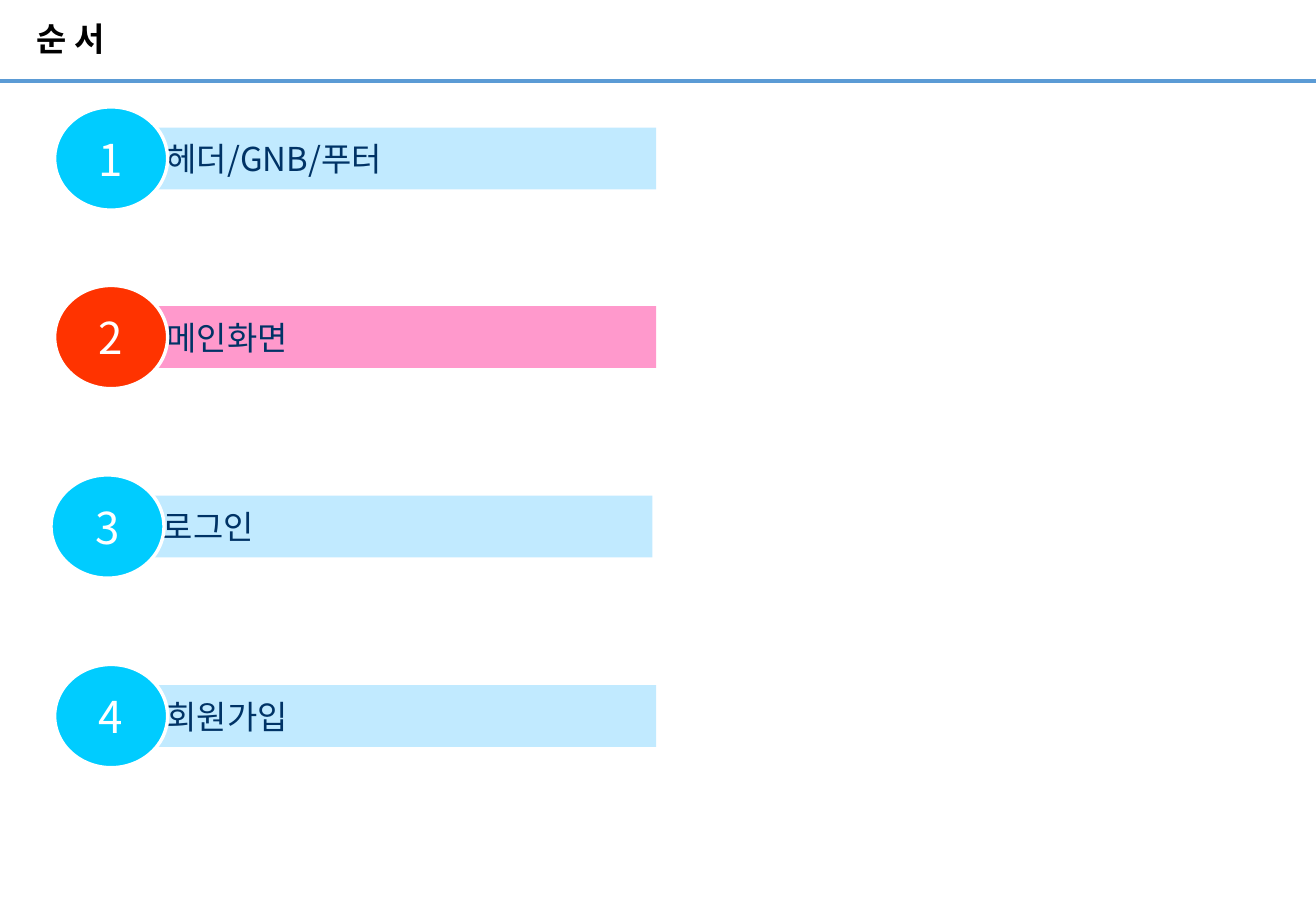
from pptx import Presentation
from pptx.dml.color import RGBColor as RGB
from pptx.enum.shapes import MSO_CONNECTOR as Link, MSO_SHAPE as Shape
from pptx.enum.text import MSO_ANCHOR as Anchor, PP_ALIGN as Align
from pptx.oxml.ns import qn
from pptx.util import Inches, Pt
from lxml.etree import SubElement

COLORS = {
    "rule": "5B9BD5", "title": "000000", "label": "003366", "white": "FFFFFF",
    "sky": "C1EAFF", "cyan": "00CCFF", "pink": "FF99CC", "red": "FF3300",
}


class Deck:
    font = "Noto Sans CJK KR"

    def __init__(self, wide, high):
        self.prs = Presentation()
        self.prs.slide_width = Inches(wide)
        self.prs.slide_height = Inches(high)
        self.slide = self.prs.slides.add_slide(self.prs.slide_layouts[6])

    def color(self, name):
        return RGB.from_string(COLORS[name])

    def label(self, shape, text, size, color, font=None, bold=False,
              align=Align.LEFT, left=0, space=None):
        frame = shape.text_frame
        frame.word_wrap = True
        frame.vertical_anchor = Anchor.MIDDLE
        frame.margin_left = Inches(left)
        frame.margin_right = frame.margin_top = frame.margin_bottom = 0
        para = frame.paragraphs[0]
        para.text = text
        para.alignment = align
        if space:
            para.line_spacing = space
        style = para.font
        style.size = Pt(size)
        style.bold = bold
        style.color.rgb = self.color(color)
        style.name = font or self.font
        props = para._p.pPr.find(qn("a:defRPr"))
        SubElement(props, qn("a:ea")).set("typeface", self.font)

    def rule(self, y, width):
        line = self.slide.shapes.add_connector(
            Link.STRAIGHT, 0, Inches(y), self.prs.slide_width, Inches(y))
        line.line.color.rgb = self.color("rule")
        line.line.width = Pt(width)
        SubElement(line._element.spPr, qn("a:effectLst"))

    def title(self, text, *box):
        shape = self.slide.shapes.add_textbox(*map(Inches, box))
        self.label(shape, text, 19.5, "title", "Arial", True, space=0.9)

    def shape(self, kind, box, fill, edge=None):
        shape = self.slide.shapes.add_shape(kind, *map(Inches, box))
        shape.shadow.inherit = False
        shape.fill.solid()
        shape.fill.fore_color.rgb = self.color(fill)
        if edge:
            shape.line.color.rgb = self.color(edge)
            shape.line.width = Pt(2)
        else:
            shape.line.fill.background()
        return shape

    def item(self, num, text, x, y, bar, disc):
        strip = self.shape(Shape.RECTANGLE, (x + 0.37, y + 0.17, 4.58, 0.51), bar)
        self.label(strip, text, 19.5, "label", left=0.55)
        badge = self.shape(Shape.OVAL, (x, y, 0.93, 0.85), disc, "white")
        self.label(badge, str(num), 26, "white", align=Align.CENTER)


def main():
    deck = Deck(10.83, 7.5)
    deck.rule(0.67, 2.25)
    deck.title("순 서", 0.3, 0, 7.09, 0.68)
    items = [
        ("헤더/GNB/푸터", 0.45, 0.88, "sky", "cyan"),
        ("메인화면", 0.45, 2.35, "pink", "red"),
        ("로그인", 0.42, 3.91, "sky", "cyan"),
        ("회원가입", 0.45, 5.47, "sky", "cyan"),
    ]
    for num, item in enumerate(items, 1):
        deck.item(num, *item)
    deck.prs.save("out.pptx")


if __name__ == "__main__":
    main()
